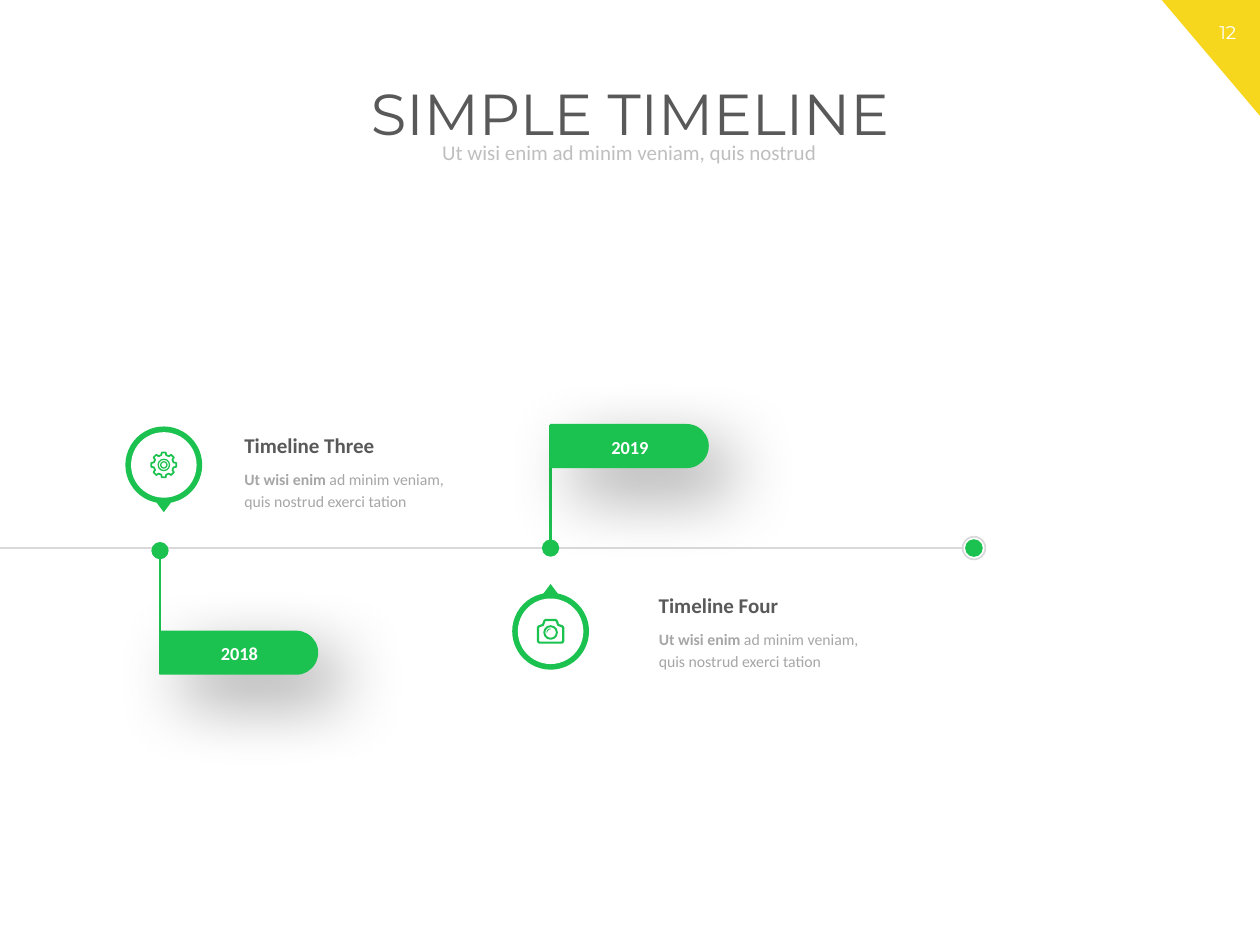
"""Build a one-slide timeline with year flags and icon pins."""
from dataclasses import dataclass
from math import cos, radians, sin

from lxml.etree import SubElement
from pptx import Presentation
from pptx.dml.color import RGBColor
from pptx.enum.shapes import MSO_CONNECTOR, MSO_SHAPE
from pptx.enum.text import MSO_ANCHOR as Anchor, MSO_AUTO_SIZE as AutoSize, PP_ALIGN as Align
from pptx.oxml import parse_xml
from pptx.oxml.ns import nsdecls, qn
from pptx.util import Inches, Pt


@dataclass(frozen=True)
class Theme:
    """Hold the colours, fonts and type sizes."""
    green: str = "1CC24F"
    yellow: str = "F6D71E"
    white: str = "FFFFFF"
    dark: str = "595959"
    body_gray: str = "A6A6A6"
    subtitle_gray: str = "BFBFBF"
    rule_gray: str = "D9D9D9"
    display_font: str = "Montserrat"
    text_font: str = "Calibri"
    title: float = 33
    heading: float = 12
    label: float = 10.5
    body: float = 9


THEME = Theme()


def write(frame, text, *, size, color, font=THEME.text_font, bold=False, lead="",
          align=Align.LEFT, spacing=1.0, anchor=Anchor.TOP, wrap=True, grow=False):
    """Fill a text frame with one paragraph, optionally opened by a bold lead."""
    frame.word_wrap = wrap
    frame.auto_size = AutoSize.SHAPE_TO_FIT_TEXT if grow else AutoSize.NONE
    frame.vertical_anchor = anchor
    paragraph = frame.paragraphs[0]
    paragraph.alignment = align
    paragraph.line_spacing = spacing
    for words, heavy in ((lead, True), (text, bold)):
        if words:
            run = paragraph.add_run()
            run.text = words
            run.font.name = font
            run.font.size = Pt(size)
            run.font.bold = heavy
            run.font.color.rgb = RGBColor.from_string(color)


def add_text(slide, text, left, top, width, height, **style):
    """Add a text box and write in it."""
    box = slide.shapes.add_textbox(Inches(left), Inches(top), Inches(width), Inches(height))
    write(box.text_frame, text, **style)


def paint(shape, fill=None, line=None, weight=1):
    """Set the fill and outline of a shape and drop its shadow."""
    shape.shadow.inherit = False
    if fill:
        shape.fill.solid()
        shape.fill.fore_color.rgb = RGBColor.from_string(fill)
    else:
        shape.fill.background()
    if line:
        shape.line.color.rgb = RGBColor.from_string(line)
        shape.line.width = Pt(weight)
    else:
        shape.line.fill.background()


def add_figure(slide, kind, left, top, width, height, rotation=0, **look):
    """Add a painted preset shape."""
    figure = slide.shapes.add_shape(kind, Inches(left), Inches(top), Inches(width), Inches(height))
    figure.rotation = rotation
    paint(figure, **look)
    return figure


def add_disc(slide, x, y, diameter, **look):
    """Add a circle around a centre point."""
    radius = diameter / 2
    add_figure(slide, MSO_SHAPE.OVAL, x - radius, y - radius, diameter, diameter, **look)


def add_outline(slide, points, weight):
    """Draw a closed green outline through the points."""
    corners = [(Inches(x), Inches(y)) for x, y in points]
    builder = slide.shapes.build_freeform(*corners[0], scale=1.0)
    builder.add_line_segments(corners[1:], close=True)
    paint(builder.convert_to_shape(), line=THEME.green, weight=weight)


def add_line(slide, start, end, color, weight, dot=False):
    """Add a straight line, optionally ending in a dot."""
    ends = [Inches(value) for value in (*start, *end)]
    connector = slide.shapes.add_connector(MSO_CONNECTOR.STRAIGHT, *ends)
    connector.line.color.rgb = RGBColor.from_string(color)
    connector.line.width = Pt(weight)
    if dot:
        SubElement(connector.line._get_or_add_ln(), qn("a:tailEnd"), type="oval", w="lg", len="lg")
    SubElement(connector._element.spPr, qn("a:effectLst"))


def cast_shadow(shape):
    """Give a shape a soft shadow to the lower right."""
    properties = shape._element.spPr
    properties.remove(properties.find(qn("a:effectLst")))
    properties.append(parse_xml(
        f'<a:effectLst {nsdecls("a")}><a:outerShdw blurRad="{Pt(40)}" dist="{Pt(20)}" '
        'dir="2700000" algn="ctr" rotWithShape="0"><a:srgbClr val="000000">'
        '<a:alpha val="40000"/></a:srgbClr></a:outerShdw></a:effectLst>'))


def add_flag(slide, year, x, y, pole_start, pole_end):
    """Add a year flag on a pole, centred on height y."""
    add_line(slide, (x, pole_start), (x, pole_end), THEME.green, 1.5, dot=True)
    flag = add_figure(slide, MSO_SHAPE.ROUND_2_SAME_RECTANGLE, x + 0.45, y - 0.63, 0.35, 1.26,
                      rotation=90, fill=THEME.green)
    flag.adjustments[0] = 0.5
    flag.adjustments[1] = 0
    cast_shadow(flag)
    add_text(slide, year, x + 0.17, y - 0.13, 0.92, 0.28, size=THEME.label, color=THEME.white,
             bold=True, align=Align.CENTER, grow=True)


def add_entry(slide, heading, left, top, width):
    """Add a heading with its short description."""
    add_text(slide, heading, left, top, width, 0.3, size=THEME.heading, color=THEME.dark,
             bold=True, wrap=False, grow=True)
    add_text(slide, "ad minim veniam, quis nostrud exerci tation", left, top + 0.28, 1.99, 0.47,
             lead="Ut wisi enim ", size=THEME.body, color=THEME.body_gray, spacing=1.14)


def add_pin(slide, x, y, draw_icon, down=False):
    """Add a ringed pin that points to the timeline and holds an icon."""
    add_disc(slide, x, y, 0.61, fill=THEME.green)
    tip = y + (0.335 if down else -0.335)
    add_figure(slide, MSO_SHAPE.ISOSCELES_TRIANGLE, x - 0.06, tip - 0.04, 0.12, 0.08,
               rotation=180 if down else 0, fill=THEME.green)
    add_disc(slide, x, y, 0.52, fill=THEME.white)
    draw_icon(slide, x, y)


def draw_gear(slide, x, y):
    """Draw an eight-toothed gear around two rings."""
    tooth = ((0.1, -9), (0.1, 9), (0.08, 14), (0.08, 31))
    points = [(x + radius * cos(radians(turn + offset)), y + radius * sin(radians(turn + offset)))
              for turn in range(0, 360, 45) for radius, offset in tooth]
    add_outline(slide, points, 1)
    for diameter in (0.09, 0.05):
        add_disc(slide, x, y, diameter, line=THEME.green, weight=0.75)


def draw_camera(slide, x, y):
    """Draw a camera body with a lens and a glint."""
    right_half = ((0.04, -0.09), (0.05, -0.08), (0.06, -0.05), (0.09, -0.04), (0.1, -0.03),
                  (0.1, 0.08), (0.09, 0.09))
    left_half = [(-dx, dy) for dx, dy in reversed(right_half)]
    add_outline(slide, [(x + dx, y + dy) for dx, dy in (*right_half, *left_half)], 1.25)
    add_disc(slide, x, y + 0.01, 0.1, line=THEME.green, weight=1.1)
    add_figure(slide, MSO_SHAPE.ARC, x - 0.03, y - 0.02, 0.06, 0.06, rotation=270,
               line=THEME.green, weight=0.5)


def add_header(slide):
    """Add the page corner, the title and the subtitle."""
    add_figure(slide, MSO_SHAPE.RIGHT_TRIANGLE, 9.22, 0, 0.78, 0.92, rotation=180,
               fill=THEME.yellow)
    add_text(slide, "12", 9.49, 0.12, 0.51, 0.28, size=THEME.label, color=THEME.white,
             font=THEME.display_font, align=Align.CENTER, grow=True)
    title = slide.shapes.title
    title.left, title.top, title.width, title.height = map(Inches, (0.57, 0.63, 8.86, 0.73))
    write(title.text_frame, "SIMPLE TIMELINE", size=THEME.title, color=THEME.dark,
          font=THEME.display_font, align=Align.CENTER, spacing=0.9)
    add_text(slide, "Ut wisi enim ad minim veniam, quis nostrud", 1.39, 1.09, 7.21, 0.26,
             size=THEME.heading, color=THEME.subtitle_gray, align=Align.CENTER, spacing=0.9,
             anchor=Anchor.MIDDLE)


def main():
    """Build and save the slide."""
    deck = Presentation()
    deck.slide_width, deck.slide_height = Inches(10), Inches(7.5)
    slide = deck.slides.add_slide(deck.slide_layouts[5])
    add_header(slide)
    add_line(slide, (7.64, 4.35), (0, 4.35), THEME.rule_gray, 1)
    add_flag(slide, "2019", 4.37, 3.54, 3.37, 4.35)
    add_flag(slide, "2018", 1.27, 5.18, 5.35, 4.37)
    add_entry(slide, "Timeline Four", 5.13, 4.65, 1.16)
    add_entry(slide, "Timeline Three", 1.84, 3.38, 1.25)
    add_disc(slide, 7.73, 4.35, 0.14, fill=THEME.green)
    add_disc(slide, 7.73, 4.35, 0.18, line=THEME.rule_gray)
    add_pin(slide, 4.37, 5.01, draw_camera)
    add_pin(slide, 1.3, 3.69, draw_gear, down=True)
    deck.save("out.pptx")


if __name__ == "__main__":
    main()
